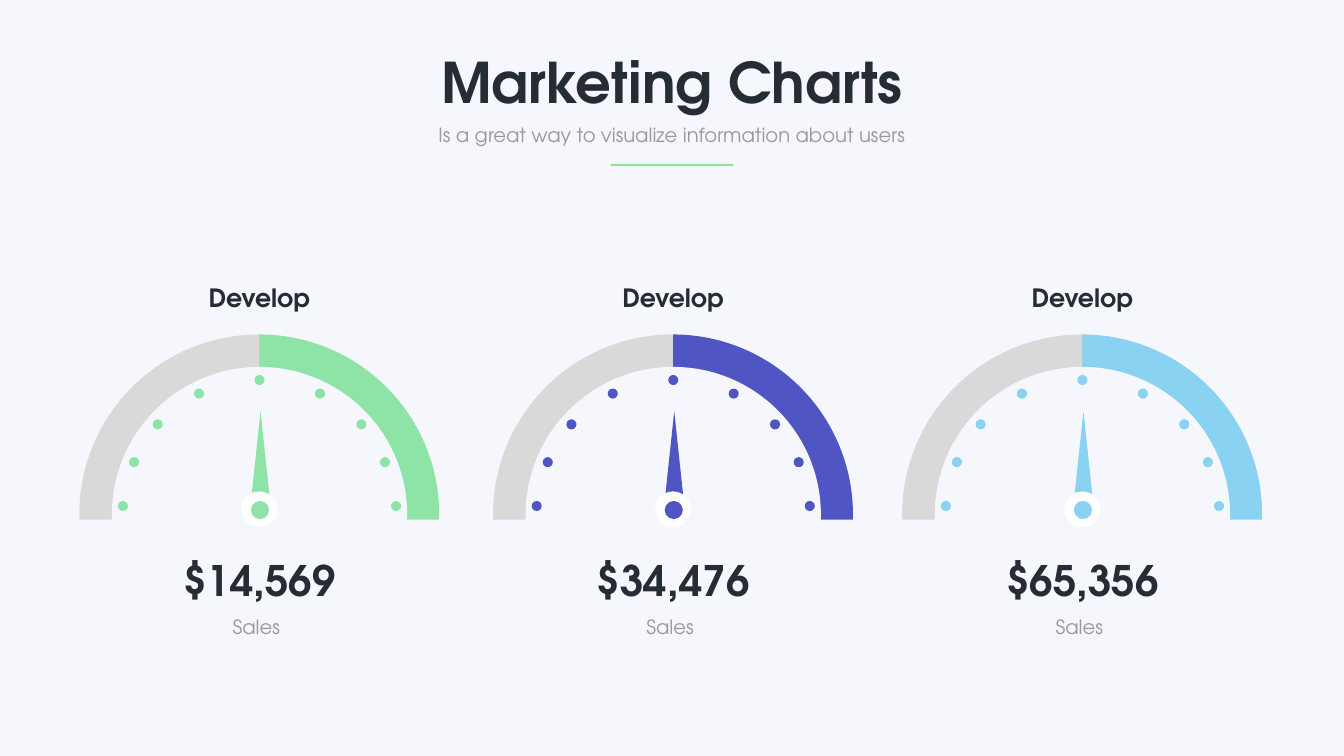
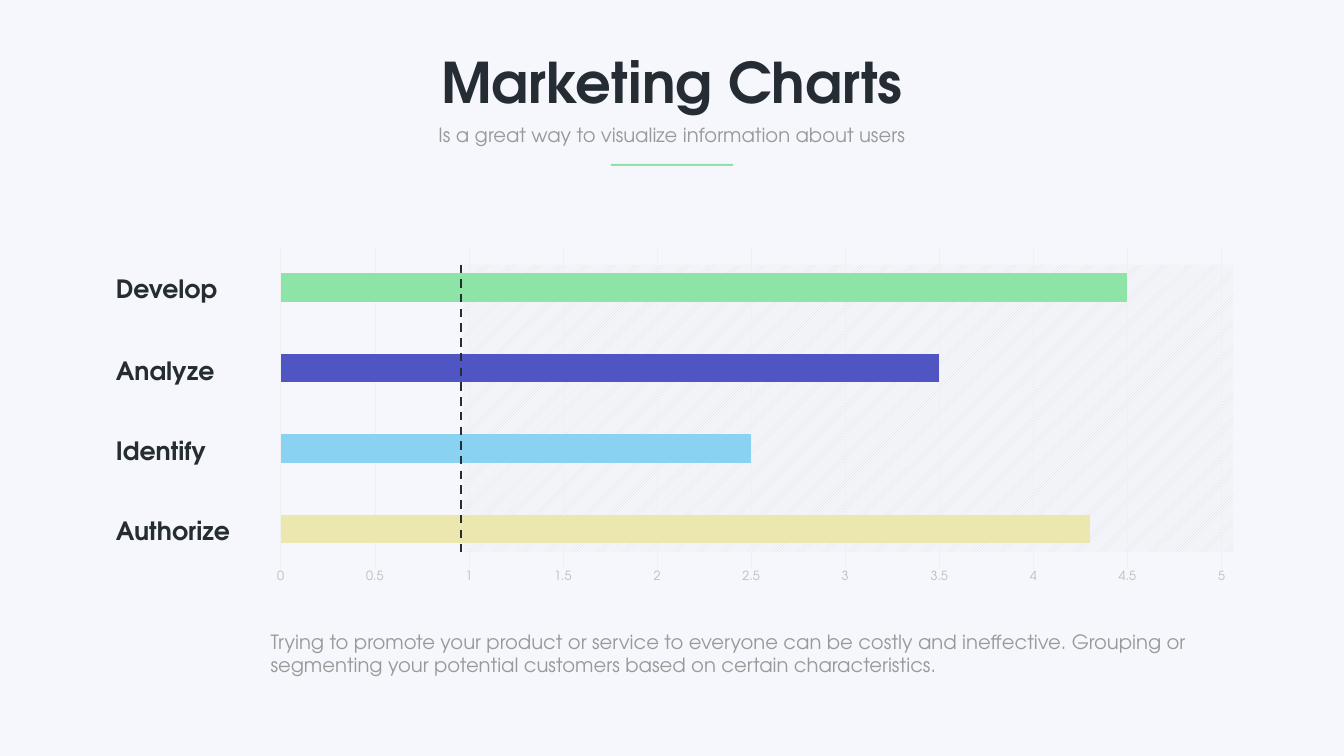
from lxml import etree
from pptx import Presentation
from pptx.chart.data import CategoryChartData
from pptx.dml.color import RGBColor
from pptx.enum.chart import XL_CHART_TYPE as ChartType, XL_TICK_MARK as TickMark
from pptx.enum.dml import MSO_LINE, MSO_PATTERN
from pptx.enum.shapes import MSO_CONNECTOR, MSO_SHAPE as Shape
from pptx.enum.text import MSO_ANCHOR as Anchor, MSO_AUTO_SIZE as AutoSize, PP_ALIGN as Align
from pptx.oxml import parse_xml
from pptx.oxml.ns import nsdecls, qn
from pptx.util import Inches, Pt

FONT = "TeX Gyre Adventor"
BACKGROUND = RGBColor(0xF6, 0xF7, 0xFC)
WHITE = RGBColor(0xFF, 0xFF, 0xFF)
DARK = RGBColor(0x25, 0x2C, 0x34)
GRAY = RGBColor(0x99, 0x99, 0x99)
AXIS_GRAY = RGBColor(0xBD, 0xBD, 0xBD)
GRID_GRAY = RGBColor(0xF0, 0xF0, 0xF0)
LIGHT_GRAY = RGBColor(0xD9, 0xD9, 0xD9)
GREEN = RGBColor(0x8E, 0xE4, 0xA7)
INDIGO = RGBColor(0x4F, 0x56, 0xC3)
SKY = RGBColor(0x8A, 0xD2, 0xF1)
YELLOW = RGBColor(0xEC, 0xE7, 0xAE)


def add_text(slide, text, left, top, width, height, size=28, color=GRAY,
             bold=False, align=Align.LEFT, anchor=Anchor.TOP, inset=None):
    box = slide.shapes.add_textbox(Inches(left), Inches(top), Inches(width), Inches(height))
    frame = box.text_frame
    frame.word_wrap = True
    frame.auto_size = AutoSize.SHAPE_TO_FIT_TEXT
    frame.vertical_anchor = anchor
    if inset is not None:
        frame.margin_left = frame.margin_right = Inches(inset)
        frame.margin_top = frame.margin_bottom = Inches(inset)
    paragraph = frame.paragraphs[0]
    paragraph.alignment = align
    run = paragraph.add_run()
    run.text = text
    run.font.name = FONT
    run.font.size = Pt(size)
    run.font.bold = bold
    run.font.color.rgb = color


def add_shape(slide, kind, left, top, width, height, color):
    shape = slide.shapes.add_shape(kind, Inches(left), Inches(top), Inches(width), Inches(height))
    shape.shadow.inherit = False
    shape.fill.solid()
    shape.fill.fore_color.rgb = color
    shape.line.fill.background()
    return shape


presentation = Presentation()
presentation.slide_width = Inches(26.67)
presentation.slide_height = Inches(15)
master_fill = presentation.slide_master.background.fill
master_fill.solid()
master_fill.fore_color.rgb = BACKGROUND

# Both slides with the shared header
slides = [presentation.slides.add_slide(presentation.slide_layouts[6]) for _ in range(2)]
for slide in slides:
    add_text(slide, "Marketing Charts", 6.88, 0.9, 12.91, 1.45,
             size=80, color=DARK, bold=True, align=Align.CENTER)
    add_text(slide, "Is a great way to visualize information about users",
             8.55, 2.38, 9.56, 0.57, align=Align.CENTER)
    add_shape(slide, Shape.RECTANGLE, 12.12, 3.25, 2.43, 0.04, GREEN)
gauge_slide, bar_slide = slides
plot_areas = []

# Gauges: half-hidden pie, dial dots, needle and sales figure
GAUGES = [(5.15, GREEN, "$14,569"), (13.36, INDIGO, "$34,476"), (21.48, SKY, "$65,356")]
DOTS = [(0, 7.44), (1.2, 7.71), (2.02, 8.32), (2.49, 9.07), (2.71, 9.94)]
for center, color, sales in GAUGES:
    add_text(gauge_slide, "Develop", center - 2.18, 5.55, 4.35, 0.71,
             size=36, color=DARK, bold=True, align=Align.CENTER)

    pie_data = CategoryChartData()
    pie_data.categories = ["1", "2"]
    pie_data.add_series("Series 1", (32, 68))
    pie = gauge_slide.shapes.add_chart(
        ChartType.PIE, Inches(center - 3.62), Inches(6.6),
        Inches(7.23), Inches(7.23), pie_data).chart
    pie.has_legend = False
    pie.has_title = False
    pie.font.name = "Calibri"
    pie.font.size = Pt(10)
    pie.font.color.rgb = GRAY
    pie.plots[0].vary_by_categories = True
    for index, slice_color in enumerate((color, LIGHT_GRAY)):
        point_format = pie.plots[0].series[0].points[index].format
        point_format.fill.solid()
        point_format.fill.fore_color.rgb = slice_color
        point_format.line.fill.background()
    plot_areas.append((pie, (0.005, 0.005, 0.99, 0.988)))

    add_shape(gauge_slide, Shape.OVAL, center - 2.93, 7.28, 5.86, 5.86, BACKGROUND)
    add_shape(gauge_slide, Shape.RECTANGLE, center - 4.38, 10.31, 9.57, 4.56, BACKGROUND)

    for offset, top in DOTS:
        for side in sorted({-offset, offset}):
            add_shape(gauge_slide, Shape.OVAL, center + side - 0.1, top, 0.2, 0.2, color)

    add_shape(gauge_slide, Shape.ISOSCELES_TRIANGLE, center - 0.16, 8.16, 0.36, 1.69, color)
    add_shape(gauge_slide, Shape.OVAL, center - 0.16, 9.66, 0.36, 0.38, color)
    add_shape(gauge_slide, Shape.OVAL, center - 0.36, 9.75, 0.71, 0.71, WHITE)
    add_shape(gauge_slide, Shape.OVAL, center - 0.17, 9.94, 0.36, 0.36, color)

    add_text(gauge_slide, sales, center - 2.69, 10.94, 5.38, 1.12, size=60, color=DARK,
             bold=True, align=Align.CENTER, anchor=Anchor.MIDDLE, inset=0.06)
    add_text(gauge_slide, "Sales", center - 1.86, 12.14, 3.59, 0.58,
             align=Align.CENTER, anchor=Anchor.MIDDLE, inset=0.06)

# Hatched area behind the bars
hatching = add_shape(bar_slide, Shape.RECTANGLE, 9.2, 5.25, 15.27, 5.7, BACKGROUND)
hatching.fill.patterned()
hatching.fill.pattern = MSO_PATTERN.WIDE_UPWARD_DIAGONAL
hatching.fill.fore_color.rgb = LIGHT_GRAY
hatching.fill.back_color.rgb = BACKGROUND

# Bar chart
bar_data = CategoryChartData()
bar_data.categories = ["1", "2", "3", "4"]
bar_data.add_series("Series 1", (4.3, 2.5, 3.5, 4.5))
bars = bar_slide.shapes.add_chart(
    ChartType.BAR_CLUSTERED, Inches(5.12), Inches(4.77),
    Inches(19.59), Inches(6.94), bar_data).chart
bars.has_legend = False
bars.has_title = False
bars.font.name = FONT
bars.font.size = Pt(18)
bars.font.color.rgb = GRAY
bars.plots[0].gap_width = 182
bars.plots[0].vary_by_categories = False
bar_series = bars.plots[0].series[0]
bar_series.format.fill.solid()
bar_series.format.fill.fore_color.rgb = GREEN
for index, color in enumerate((YELLOW, SKY, INDIGO)):
    point_fill = bar_series.points[index].format.fill
    point_fill.solid()
    point_fill.fore_color.rgb = color
bars.category_axis.visible = False
axis = bars.value_axis
axis.minimum_scale, axis.maximum_scale, axis.major_unit = 0, 5, 0.5
axis.major_tick_mark = axis.minor_tick_mark = TickMark.NONE
axis.format.line.fill.background()
axis.major_gridlines.format.line.color.rgb = GRID_GRAY
axis.major_gridlines.format.line.width = Pt(0.75)
axis.tick_labels.font.name = FONT
axis.tick_labels.font.size = Pt(18)
axis.tick_labels.font.color.rgb = AXIS_GRAY
plot_areas.append((bars, (0.023, 0.02, 0.953, 0.92)))

# Dashed threshold
threshold = bar_slide.shapes.add_connector(
    MSO_CONNECTOR.STRAIGHT, Inches(9.15), Inches(5.25), Inches(9.15), Inches(10.95))
threshold.line.color.rgb = DARK
threshold.line.width = Pt(3)
threshold.line.dash_style = MSO_LINE.DASH
etree.SubElement(threshold.element.spPr, qn("a:effectLst"))

# Bar labels and caption
BAR_LABELS = [("Develop", 5.37), ("Analyze", 7), ("Identify", 8.58), ("Authorize", 10.18)]
for label, top in BAR_LABELS:
    add_text(bar_slide, label, 2.2, top, 3.42, 0.56, size=36, color=DARK, bold=True)
add_text(bar_slide,
         "Trying to promote your product or service to everyone can be costly and ineffective. "
         "Grouping or segmenting your potential customers based on certain characteristics.",
         5.27, 12.44, 19.2, 1.04)

# Fixed inner plot areas, as fractions of each chart
for chart, (x, y, width, height) in plot_areas:
    plot_area = chart.element.find(".//" + qn("c:plotArea"))
    for old_layout in plot_area.findall(qn("c:layout")):
        plot_area.remove(old_layout)
    plot_area.insert(0, parse_xml(
        f'<c:layout {nsdecls("c")}><c:manualLayout><c:layoutTarget val="inner"/>'
        f'<c:xMode val="edge"/><c:yMode val="edge"/><c:x val="{x}"/><c:y val="{y}"/>'
        f'<c:w val="{width}"/><c:h val="{height}"/></c:manualLayout></c:layout>'))

presentation.save("out.pptx")
